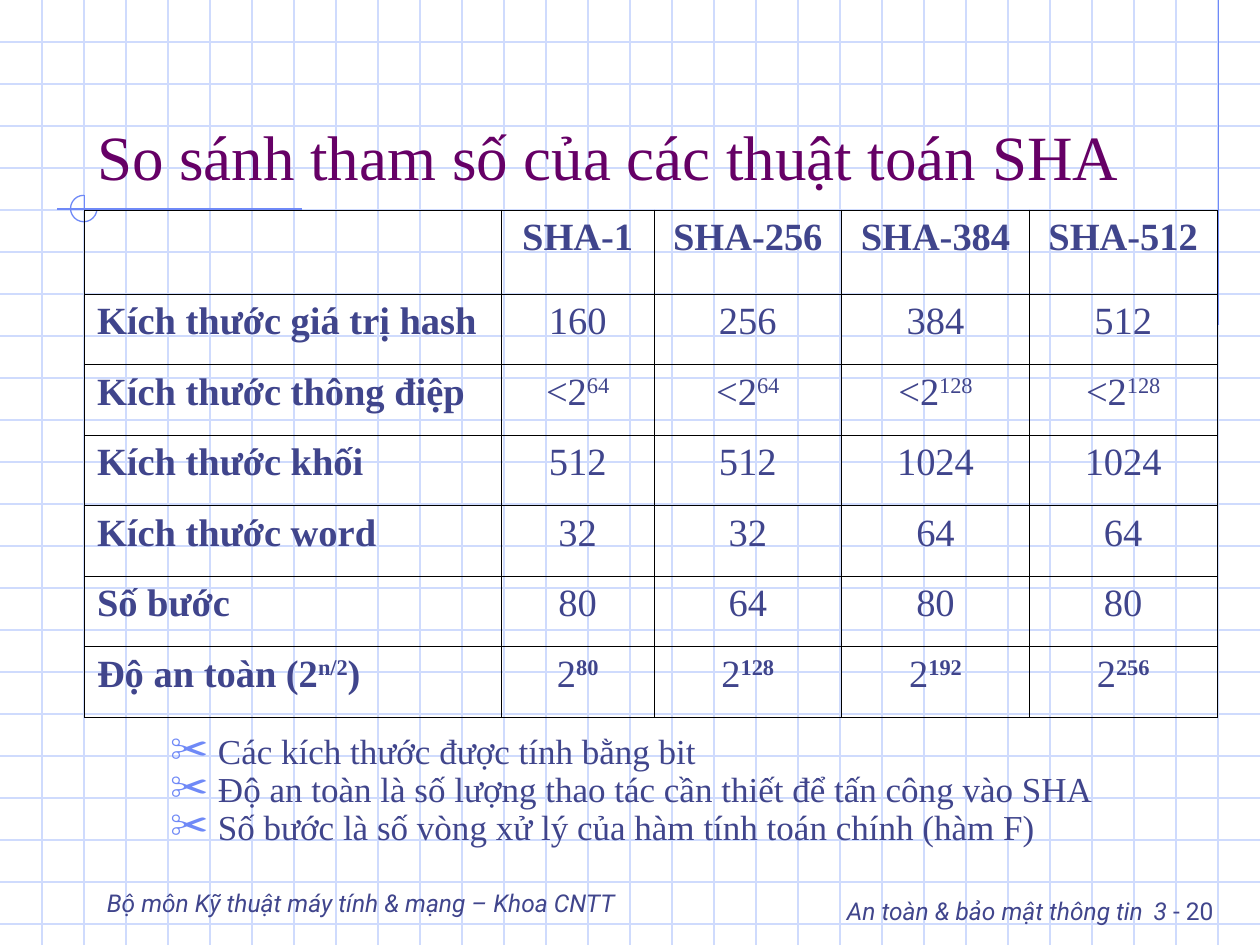
import pptx
import pptx.util
import pptx.dml.color
import pptx.enum.shapes
import pptx.enum.text
import pptx.oxml.ns
from lxml import etree

Inches, Pt = pptx.util.Inches, pptx.util.Pt
ALIGN = pptx.enum.text.PP_ALIGN
ANCHOR = pptx.enum.text.MSO_ANCHOR

COLORS = {"grid": "CFDBFD", "accent": "6F89F7", "text": "40458C",
          "title": "660066", "border": "000000"}
SERIF, SANS = "Times New Roman", "Roboto"
WIDTH, HEIGHT = 10, 7.5
GRID = 1 / 3
HANGING = 0.38

TITLE = "So sánh tham số của các thuật toán SHA"
# Text between two carets is superscript.
TABLE = [
    ["", "SHA-1", "SHA-256", "SHA-384", "SHA-512"],
    ["Kích thước giá trị hash", "160", "256", "384", "512"],
    ["Kích thước thông điệp", "<2^64", "<2^64", "<2^128", "<2^128"],
    ["Kích thước khối", "512", "512", "1024", "1024"],
    ["Kích thước word", "32", "32", "64", "64"],
    ["Số bước", "80", "64", "80", "80"],
    ["Độ an toàn (2^n/2^)", "2^80", "2^128", "2^192", "2^256"],
]
COLUMN_WIDTHS = [3.31, 1.21, 1.49, 1.49, 1.49]
ROW_HEIGHTS = [2 * GRID] + [0.56] * (len(TABLE) - 1)
NOTES = [
    "Các kích thước được tính bằng bit",
    "Độ an toàn là số lượng thao tác cần thiết để tấn công vào SHA",
    "Số bước là số vòng xử lý của hàm tính toán chính (hàm F)",
]
DEPARTMENT = "Bộ môn Kỹ thuật máy tính & mạng – Khoa CNTT"
# Text, size, italic
COURSE = [("An toàn & bảo mật thông tin", 14, True), (" ", 24, True),
          ("3", 14, True), (" - 20", 14, False)]
ACCENT_LINES = [(9.67, 0, 9.67, 2.58), (2.4, 1.66, 0.45, 1.66),
                (0.67, 1.55, 0.67, 4.09)]


def rgb(name):
    return pptx.dml.color.RGBColor.from_string(COLORS[name])


def add_xml(parent, tag, **attributes):
    return etree.SubElement(parent, pptx.oxml.ns.qn(tag), attributes)


def set_font(font, name, size, color, **styles):
    font.name, font.size, font.color.rgb = name, Pt(size), rgb(color)
    for style, value in styles.items():
        setattr(font, style, value)


def place(shape, left, top, width, height):
    shape.left, shape.top = Inches(left), Inches(top)
    shape.width, shape.height = Inches(width), Inches(height)


def set_hanging(paragraph):
    properties = paragraph._p.get_or_add_pPr()
    properties.set("marL", str(Inches(HANGING)))
    properties.set("indent", str(-Inches(HANGING)))
    return properties


def add_line(slide, ends, color):
    line = slide.shapes.add_connector(
        pptx.enum.shapes.MSO_CONNECTOR.STRAIGHT, *map(Inches, ends))
    line.line.color.rgb, line.line.width = rgb(color), Pt(0.75)
    add_xml(line._element.spPr, "a:effectLst")


def add_background(slide):
    for row in range(1, int(HEIGHT / GRID) + 1):
        add_line(slide, (0, row * GRID, WIDTH, row * GRID), "grid")
    for column in range(1, round(WIDTH / GRID)):
        add_line(slide, (column * GRID, 0, column * GRID, HEIGHT), "grid")
    for ends in ACCENT_LINES:
        add_line(slide, ends, "accent")
    arc = slide.shapes.add_shape(pptx.enum.shapes.MSO_SHAPE.ARC, 0, 0, 0, 0)
    place(arc, 0.56, 1.55, 0.21, 0.21)
    arc.adjustments[0], arc.adjustments[1] = 0, 162  # 0 to 270 degrees
    arc.shadow.inherit = False
    arc.fill.background()
    arc.line.color.rgb, arc.line.width = rgb("accent"), Pt(0.75)


def add_text_box(slide, box, anchor, align):
    shape = slide.shapes.add_textbox(0, 0, 0, 0)
    place(shape, *box)
    shape.text_frame.word_wrap = True
    shape.text_frame.vertical_anchor = anchor
    paragraph = shape.text_frame.paragraphs[0]
    paragraph.alignment = align
    return paragraph


def add_footers(slide):
    left = add_text_box(slide, (0.75, 6.83, 5.58, 0.5), ANCHOR.BOTTOM, ALIGN.LEFT)
    left.text = DEPARTMENT
    set_font(left.font, SANS, 14, "text", italic=True)
    right = add_text_box(slide, (6.25, 6.92, 3.48, 0.5), ANCHOR.TOP, ALIGN.RIGHT)
    for text, size, italic in COURSE:
        run = right.add_run()
        run.text = text
        set_font(run.font, SANS, size, "text", italic=italic)


def fill_title(slide):
    title = slide.shapes.title
    place(title, 0.67, 0.33, 8.5, 1.25)
    frame = title.text_frame
    frame.text = TITLE
    frame.auto_size = pptx.enum.text.MSO_AUTO_SIZE.NONE
    frame.vertical_anchor = ANCHOR.BOTTOM
    frame.paragraphs[0].alignment = ALIGN.LEFT
    set_font(frame.paragraphs[0].font, SERIF, 36, "title")


def fill_notes(slide):
    body = slide.placeholders[1]
    place(body, 1.25, 5.83, 7.67, 1)
    frame = body.text_frame
    frame.text = "\n".join(NOTES)
    frame.auto_size = pptx.enum.text.MSO_AUTO_SIZE.NONE
    for paragraph in frame.paragraphs:
        paragraph.line_spacing, paragraph.space_before = 0.7, Pt(5)
        properties = set_hanging(paragraph)
        add_xml(add_xml(properties, "a:buClr"), "a:srgbClr", val=COLORS["accent"])
        add_xml(properties, "a:buSzPct", val="110000")
        add_xml(properties, "a:buChar", char="✂")
        set_font(paragraph.font, SERIF, 20, "text")


def set_borders(cell):
    properties = cell._tc.get_or_add_tcPr()
    for tag in ("a:lnL", "a:lnR", "a:lnT", "a:lnB"):
        border = add_xml(properties, tag, w=str(Pt(0.45)))
        add_xml(add_xml(border, "a:solidFill"), "a:srgbClr", val=COLORS["border"])


def fill_cell(cell, text, row, column):
    set_borders(cell)
    cell.fill.background()
    if not text:
        return
    paragraph = cell.text_frame.paragraphs[0]
    set_hanging(paragraph)
    paragraph.alignment = ALIGN.CENTER if column else ALIGN.LEFT
    heading = row == 0 or column == 0
    set_font(paragraph.font, SERIF, 22, "text", bold=heading)
    for index, part in enumerate(text.split("^")):
        run = paragraph.add_run()
        run.text = part
        if index % 2:
            run._r.get_or_add_rPr().set("baseline", "30000")
            run.font.bold = heading or row == len(TABLE) - 1


def add_comparison(slide):
    frame = slide.shapes.add_table(
        len(TABLE), len(COLUMN_WIDTHS), Inches(0.67), Inches(5 * GRID),
        Inches(sum(COLUMN_WIDTHS)), Inches(sum(ROW_HEIGHTS)))
    table = frame.table
    table.first_row = table.horz_banding = False
    for column, width in zip(table.columns, COLUMN_WIDTHS):
        column.width = Inches(width)
    for row, height in zip(table.rows, ROW_HEIGHTS):
        row.height = Inches(height)
    for row, texts in enumerate(TABLE):
        for column, text in enumerate(texts):
            fill_cell(table.cell(row, column), text, row, column)


def main():
    presentation = pptx.Presentation()
    presentation.slide_width, presentation.slide_height = Inches(WIDTH), Inches(HEIGHT)
    slide = presentation.slides.add_slide(presentation.slide_layouts[1])
    add_background(slide)
    add_footers(slide)
    fill_title(slide)
    fill_notes(slide)
    for placeholder in list(slide.placeholders):  # bring in front of the grid
        slide.shapes._spTree.append(placeholder._element)
    add_comparison(slide)
    presentation.save("out.pptx")


if __name__ == "__main__":
    main()
